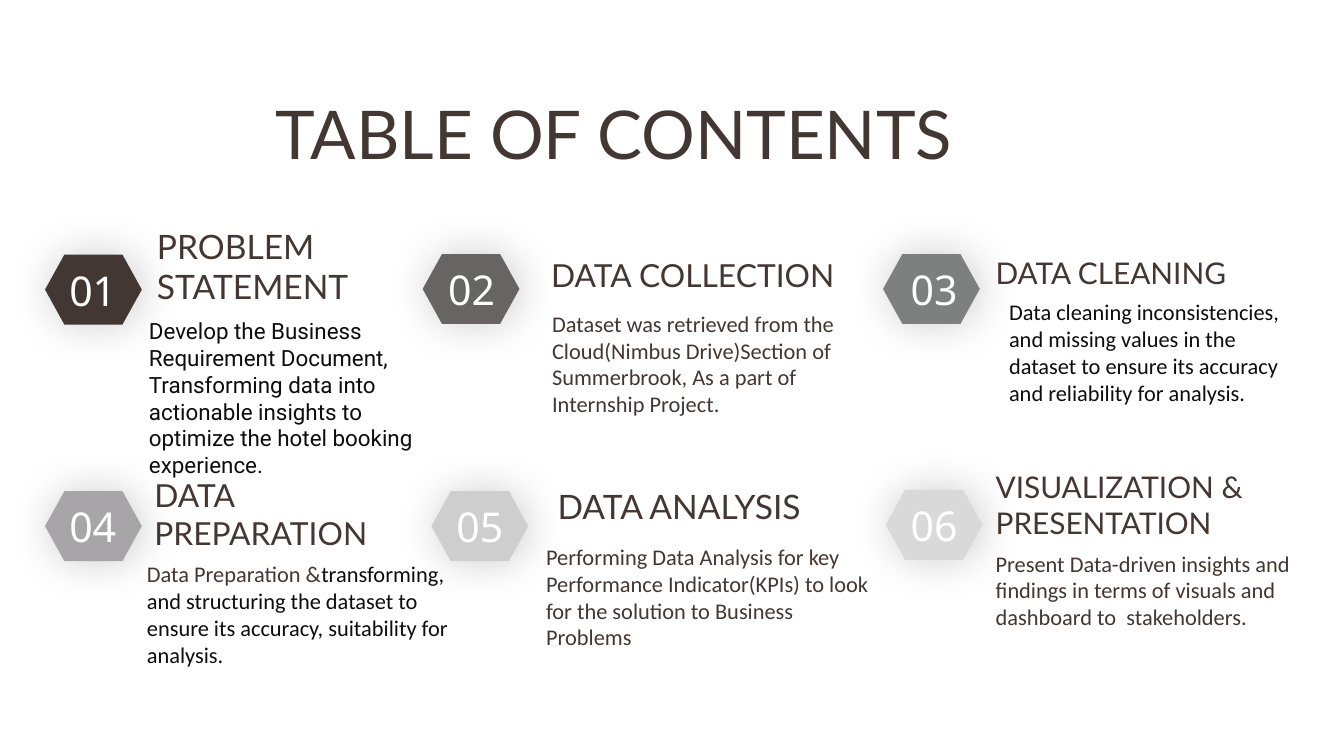
"""Build a table of contents slide with six numbered hexagon entries."""
from dataclasses import dataclass
from lxml.etree import SubElement
from pptx import Presentation
from pptx.dml.color import RGBColor
from pptx.enum.shapes import MSO_SHAPE as Shape
from pptx.enum.text import MSO_ANCHOR as Anchor, PP_ALIGN as Align
from pptx.oxml.ns import qn
from pptx.util import Emu, Pt


@dataclass(frozen=True)
class Theme:
    dark: str = "423732"
    ink: str = "0D0D0D"
    white: str = "FFFFFF"
    glow: str = "CECECE"
    head: str = "Lato"
    body: str = "Calibri"
    alt: str = "Roboto"
    digit: str = "Noto Sans"
    title: int = 36
    num: int = 22
    text: int = 12


T = Theme()
PX = 4572
SIZE = (2000, 1125)
HEX = (144, 104)
HEAD_H = 84
PAD = 20
TITLE = ("TABLE OF CONTENTS", (70, 118, 1688, 150))

ITEMS = [
    dict(hex=(67, 379), fill="423732", num=(78, 120),
         head=["PROBLEM STATEMENT"], spot=(214, 392, 380), size=18,
         body=[("Develop the Business Requirement Document, Transforming data into "
                "actionable insights to optimize the hotel booking experience.", T.ink)],
         box=(202, 452, 462, 180), font=T.alt),
    dict(hex=(629, 378), fill="686464", num=(642, 120),
         head=["DATA COLLECTION"], spot=(743, 374, 546), size=17, hang=(100, -70),
         body=[("Dataset was retrieved from the Cloud(Nimbus Drive)Section of "
                "Summerbrook, As a part of Internship Project.", T.dark)],
         box=(802, 441, 534, 170)),
    dict(hex=(1314, 378), fill="7E807F", num=(1324, 132),
         head=["DATA CLEANING"], spot=(1462, 368, 460), size=16,
         body=[("Data cleaning inconsistencies, and missing values in the dataset "
                "to ensure its accuracy and reliability for analysis.", T.ink)],
         box=(1482, 424, 446, 194)),
    dict(hex=(67, 731), fill="A7A5A8", num=(78, 120),
         head=["DATA", "PREPARATION"], spot=(210, 757, 426), size=17,
         body=[("Data Preparation &", T.dark),
               ("transforming, and structuring the dataset to ensure its accuracy, "
                "suitability for analysis.", T.ink)],
         box=(199, 814, 490, 162)),
    dict(hex=(642, 731), fill="CECECE", num=(654, 120),
         head=["DATA ANALYSIS"], spot=(810, 719, 490), size=18,
         body=[("Performing Data Analysis for key Performance Indicator(KPIs) to look "
                "for the solution to Business Problems", T.dark)],
         box=(793, 788, 524, 188)),
    dict(hex=(1318, 729), fill="D9D9D9", num=(1324, 132),
         head=["VISUALIZATION & PRESENTATION"], spot=(1462, 740, 478), size=16,
         body=[("Present Data-driven insights and findings in terms of visuals and "
                "dashboard to  stakeholders.", T.dark)],
         box=(1462, 798, 484, 170)),
]


def px(*vals):
    return [Emu(v * PX) for v in vals]


def rgb(code):
    return RGBColor.from_string(code)


def add_hex(slide, spot, fill):
    shape = slide.shapes.add_shape(Shape.FLOWCHART_PREPARATION, *px(*spot, *HEX))
    shape.fill.solid()
    shape.fill.fore_color.rgb = rgb(fill)
    shape.line.fill.background()
    shape.shadow.inherit = False
    glow = SubElement(shape._element.spPr.find(qn("a:effectLst")), qn("a:outerShdw"),
                      blurRad=str(Pt(22.5)), dist=str(Pt(1.5)), dir="0",
                      algn="ctr", rotWithShape="0")
    SubElement(glow, qn("a:srgbClr"), val=T.glow)


def add_text(slide, box, paras, font, size, anchor=Anchor.TOP, align=Align.LEFT, hang=None):
    frame = slide.shapes.add_textbox(*px(*box)).text_frame
    frame.word_wrap = True
    frame.vertical_anchor = anchor
    frame.margin_left = frame.margin_right = Emu(PAD * PX)
    frame.margin_top = frame.margin_bottom = Emu(PAD * PX)
    for i, runs in enumerate(paras):
        para = frame.add_paragraph() if i else frame.paragraphs[0]
        para.alignment = align
        if hang:
            left, first = px(*hang)
            props = para._p.get_or_add_pPr()
            props.set("marL", str(left))
            props.set("indent", str(first))
        para.font.name = font
        para.font.size = Pt(size)
        if len(runs) == 1:
            para.font.color.rgb = rgb(runs[0][1])
        for words, color in runs:
            run = para.add_run()
            run.text = words
            if len(runs) > 1:
                run.font.color.rgb = rgb(color)


def main():
    deck = Presentation()
    deck.slide_width, deck.slide_height = px(*SIZE)
    slide = deck.slides.add_slide(deck.slide_layouts[6])
    for item in ITEMS:
        add_hex(slide, item["hex"], item["fill"])
    words, box = TITLE
    add_text(slide, box, [[(words, T.dark)]], T.head, T.title, align=Align.CENTER)
    for i, item in enumerate(ITEMS, 1):
        left, wide = item["num"]
        add_text(slide, (left, item["hex"][1], wide, HEX[1]), [[(f"{i:02}", T.white)]],
                 T.digit, T.num, Anchor.MIDDLE, Align.CENTER)
        hang = item.get("hang")
        add_text(slide, (*item["spot"], HEAD_H), [[(line, T.dark)] for line in item["head"]],
                 T.head, item["size"], Anchor.BOTTOM, Align.CENTER if hang else Align.LEFT, hang)
        add_text(slide, item["box"], [item["body"]], item.get("font", T.body), T.text)
    deck.save("out.pptx")


if __name__ == "__main__":
    main()
